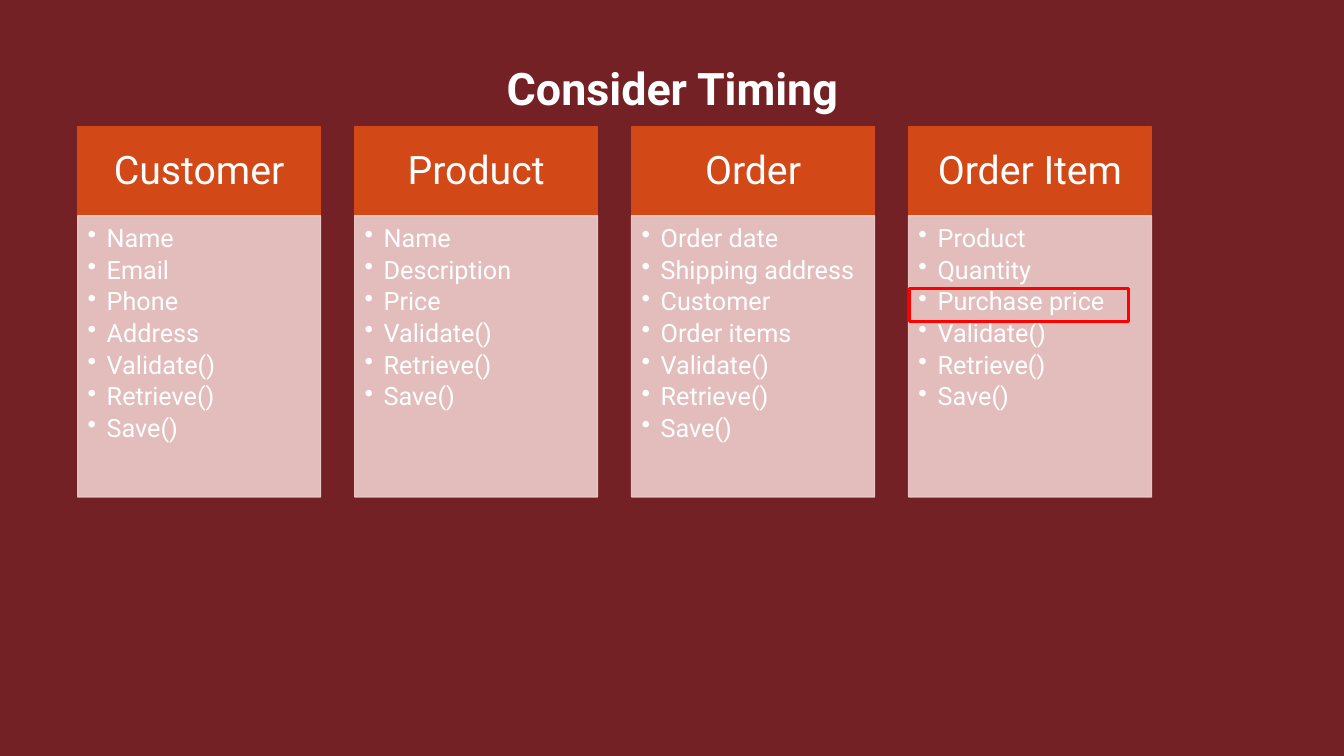
from lxml import etree
from pptx import Presentation
from pptx.dml.color import RGBColor
from pptx.enum.shapes import MSO_SHAPE
from pptx.enum.text import MSO_ANCHOR, MSO_AUTO_SIZE, PP_ALIGN
from pptx.oxml.ns import qn
from pptx.util import Inches, Pt

RECTANGLE = MSO_SHAPE.RECTANGLE
CENTER, LEFT = PP_ALIGN.CENTER, PP_ALIGN.LEFT
TOP, MIDDLE = MSO_ANCHOR.TOP, MSO_ANCHOR.MIDDLE
FONT = "Roboto"
COLORS = {
    "background": "732124",
    "header": "D34817",
    "body": "EFCFCC",
    "text": "FFFFFF",
    "highlight": "FF0000",
}
METHODS = ["Validate()", "Retrieve()", "Save()"]
CLASSES = {
    "Customer": ["Name", "Email", "Phone", "Address"],
    "Product": ["Name", "Description", "Price"],
    "Order": ["Order date", "Shipping address", "Customer", "Order items"],
    "Order Item": ["Product", "Quantity", "Purchase price"],
}
CARD_LEFT, CARD_STEP, CARD_WIDTH = 0.77, 2.747, 2.41
HEADER_TOP, HEADER_HEIGHT, BODY_HEIGHT = 1.26, 0.88, 2.79


def add_panel(left, top, height, color, insets, anchor):
    """Add a filled card rectangle and return it, ready for text."""
    shape = slide.shapes.add_shape(
        RECTANGLE, Inches(left), Inches(top), Inches(CARD_WIDTH), Inches(height))
    shape.shadow.inherit = False
    shape.fill.solid()
    shape.fill.fore_color.rgb = RGBColor.from_string(COLORS[color])
    shape.line.color.rgb = RGBColor.from_string(COLORS[color])
    shape.line.width = Pt(0.85)
    frame = shape.text_frame
    frame.word_wrap = True
    frame.vertical_anchor = anchor
    (frame.margin_left, frame.margin_top,
     frame.margin_right, frame.margin_bottom) = map(Inches, insets)
    return shape


def format_paragraph(paragraph, size, alignment, bold=False):
    paragraph.alignment = alignment
    paragraph.font.name = FONT
    paragraph.font.size = Pt(size)
    paragraph.font.bold = bold
    paragraph.font.color.rgb = RGBColor.from_string(COLORS["text"])


presentation = Presentation()
presentation.slide_width = Inches(13.33)
presentation.slide_height = Inches(7.5)
slide = presentation.slides.add_slide(presentation.slide_layouts[6])
slide.background.fill.solid()
slide.background.fill.fore_color.rgb = RGBColor.from_string(COLORS["background"])

# Class cards
for index, (class_name, properties) in enumerate(CLASSES.items()):
    left = CARD_LEFT + index * CARD_STEP
    header = add_panel(left, HEADER_TOP, HEADER_HEIGHT, "header",
                       (0.22, 0.12, 0.22, 0.12), MIDDLE)
    paragraph = header.text_frame.paragraphs[0]
    paragraph.text = class_name
    paragraph.line_spacing = 0.9
    format_paragraph(paragraph, 28, CENTER)

    body = add_panel(left, HEADER_TOP + HEADER_HEIGHT, BODY_HEIGHT, "body",
                     (0.1, 0.1, 0.14, 0.16), TOP)
    for color in body._element.spPr.iter(qn("a:srgbClr")):
        etree.SubElement(color, qn("a:alpha"), val="90000")

    frame = body.text_frame
    for row, member in enumerate(properties + METHODS):
        paragraph = frame.add_paragraph() if row else frame.paragraphs[0]
        paragraph.text = member
        paragraph.level = 1
        paragraph_properties = paragraph._p.get_or_add_pPr()
        paragraph_properties.set("marL", str(Inches(0.19)))
        paragraph_properties.set("indent", str(Inches(-0.19)))
        etree.SubElement(paragraph_properties, qn("a:buChar"), char="•")
        paragraph.line_spacing = 0.9
        paragraph.space_after = Pt(3.15)
        format_paragraph(paragraph, 18, LEFT)

# Title
title = slide.shapes.add_textbox(
    Inches(3.14), Inches(0.55), Inches(7.06), Inches(0.64))
title.text_frame.word_wrap = True
title.text_frame.auto_size = MSO_AUTO_SIZE.SHAPE_TO_FIT_TEXT
paragraph = title.text_frame.paragraphs[0]
paragraph.text = "Consider Timing"
format_paragraph(paragraph, 32, CENTER, bold=True)

# Frame around the purchase price
highlight = slide.shapes.add_shape(
    RECTANGLE, Inches(9.02), Inches(2.86), Inches(2.17), Inches(0.33))
highlight.shadow.inherit = False
highlight.fill.background()
highlight.line.color.rgb = RGBColor.from_string(COLORS["highlight"])
highlight.line.width = Pt(2.25)

presentation.save("out.pptx")
